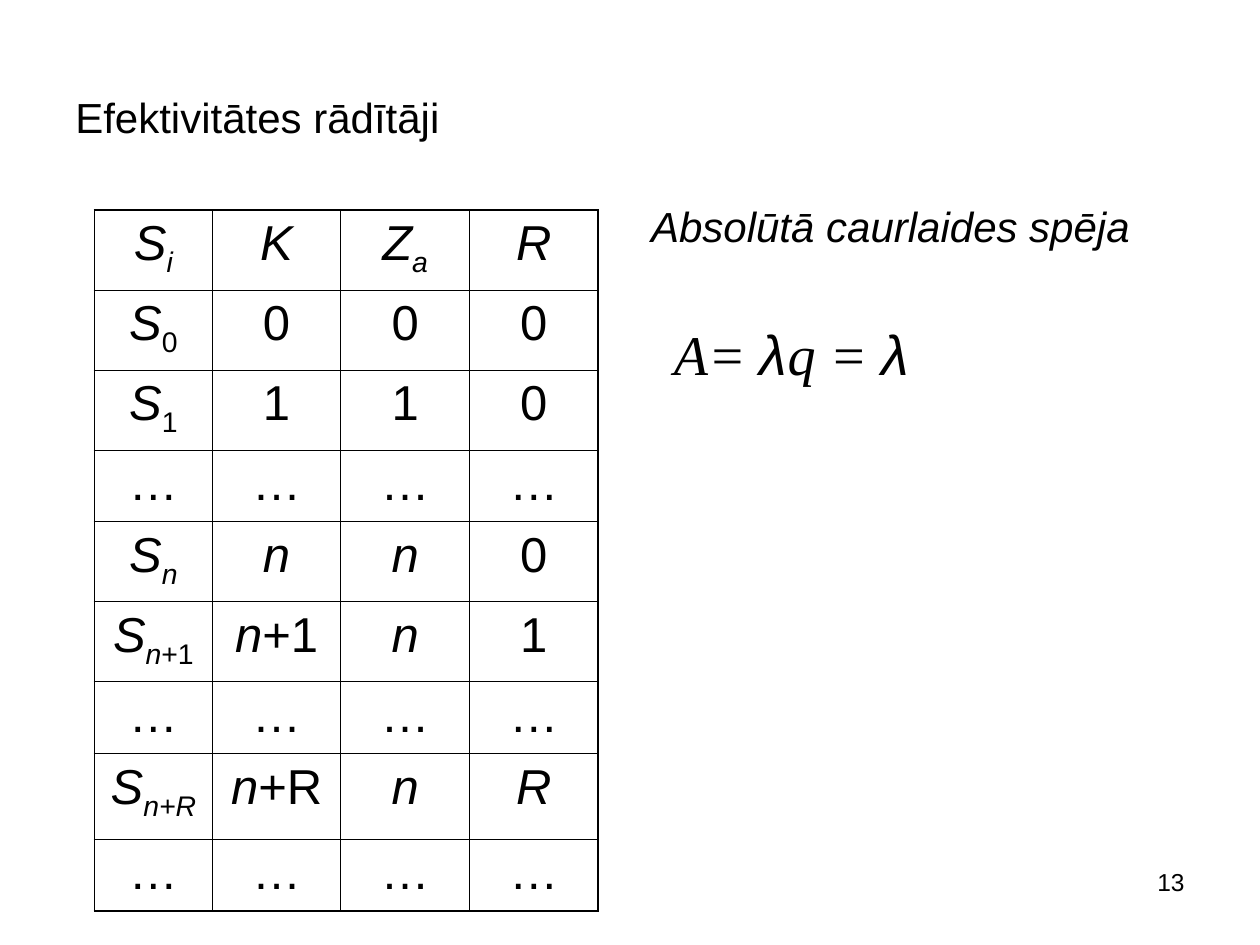
"""Build the slide on performance measures with its state table."""
import dataclasses
import typing

import lxml.etree
import pptx
import pptx.dml.color
import pptx.enum.text
import pptx.oxml.ns
import pptx.util

Pt = pptx.util.Pt
Align = pptx.enum.text.PP_ALIGN
Anchor = pptx.enum.text.MSO_ANCHOR
Fit = pptx.enum.text.MSO_AUTO_SIZE


@dataclasses.dataclass(frozen=True)
class Theme:
    ink: str = "000000"
    sans: str = "Arial"
    serif: str = "Times New Roman"
    head: float = 24
    cell: float = 28
    math: float = 32
    page: float = 14
    thin: float = 0.45
    thick: float = 1.08


THEME = Theme()


class Run(typing.NamedTuple):
    text: str
    slant: bool = False
    sub: bool = False
    face: str = THEME.sans


class Box(typing.NamedTuple):
    left: float
    top: float
    width: float
    height: float
    size: float
    runs: tuple[Run, ...]
    frame: dict[str, typing.Any]
    align: Align = Align.LEFT


def write(para: typing.Any, runs: tuple[Run, ...], size: float, align: Align) -> None:
    """Fill a paragraph with styled runs."""
    para.alignment = align
    for part in runs:
        run = para.add_run()
        run.text = part.text
        style = {"name": part.face, "size": Pt(size), "italic": part.slant}
        for key, value in style.items():
            setattr(run.font, key, value)
        run.font.color.rgb = pptx.dml.color.RGBColor.from_string(THEME.ink)
        if part.sub:
            run._r.get_or_add_rPr().set("baseline", "-25000")


def draw_box(slide: typing.Any, box: Box) -> None:
    """Draw one text box."""
    shape = slide.shapes.add_textbox(*map(Pt, box[:4]))
    for key, value in box.frame.items():
        setattr(shape.text_frame, key, value)
    write(shape.text_frame.paragraphs[0], box.runs, box.size, box.align)


def edge(cell: typing.Any, side: str, width: float) -> None:
    """Add one border line to a cell."""
    qn = pptx.oxml.ns.qn
    props = cell._tc.get_or_add_tcPr()
    line = lxml.etree.SubElement(props, qn(f"a:ln{side}"), w=str(int(Pt(width))))
    fill = lxml.etree.SubElement(line, qn("a:solidFill"))
    lxml.etree.SubElement(fill, qn("a:srgbClr"), val=THEME.ink)


def draw_grid(slide: typing.Any, left: float, top: float, cols: list[float],
              rows: list[float], cells: list[list[tuple[Run, ...]]]) -> None:
    """Draw the table with a thick outer frame."""
    area = map(Pt, (left, top, sum(cols), sum(rows)))
    grid = slide.shapes.add_table(len(rows), len(cols), *area).table
    for flag in ("first_row", "horz_banding"):
        setattr(grid, flag, False)
    for col, width in zip(grid.columns, cols):
        col.width = Pt(width)
    for row, height in zip(grid.rows, rows):
        row.height = Pt(height)
    for y, line in enumerate(cells):
        for x, runs in enumerate(line):
            cell = grid.cell(y, x)
            outer = {"L": x == 0, "R": x == len(cols) - 1,
                     "T": y == 0, "B": y == len(rows) - 1}
            for side, rim in outer.items():
                edge(cell, side, THEME.thick if rim else THEME.thin)
            cell.fill.background()
            write(cell.text_frame.paragraphs[0], runs, THEME.cell, Align.CENTER)


def sign(text: str) -> tuple[Run, ...]:
    """Give an upright entry."""
    return (Run(text),)


def name(text: str, *tail: Run) -> tuple[Run, ...]:
    """Give an italic symbol with an optional tail."""
    return (Run(text, True), *tail)


def low(text: str, slant: bool = False) -> Run:
    """Give a subscript run."""
    return Run(text, slant, True)


DOTS = [sign("…")] * 4
CELLS = [
    [name("S", low("i", True)), name("K"), name("Z", low("a", True)), name("R")],
    [name("S", low("0")), sign("0"), sign("0"), sign("0")],
    [name("S", low("1")), sign("1"), sign("1"), sign("0")],
    DOTS,
    [name("S", low("n", True)), name("n"), name("n"), sign("0")],
    [name("S", low("n", True), low("+1")), name("n", Run("+1")), name("n"), sign("1")],
    DOTS,
    [name("S", low("n+R", True)), name("n", Run("+R")), name("n"), name("R")],
    DOTS,
]
TALL, SHORT, DEEP = 45.7, 41.1, 49
ROWS = [TALL, TALL, TALL, SHORT, TALL, TALL, SHORT, DEEP, SHORT]
COLS = [67.3] + [73.5] * 3

WRAP = {"word_wrap": True}
GROW = {"word_wrap": False, "auto_size": Fit.SHAPE_TO_FIT_TEXT}
BOXES = [
    Box(36, 21.6, 648, 90, THEME.head, sign("Efektivitātes rādītāji"),
        {**WRAP, "vertical_anchor": Anchor.MIDDLE}),
    Box(378, 179.3, 152, 46, THEME.math,
        (Run("A= ", True, face=THEME.serif), Run("λ", True),
         Run("q = ", True, face=THEME.serif), Run("λ", True)), GROW),
    Box(365, 110.9, 288, 36, THEME.head, name("Absolūtā caurlaides spēja"), GROW),
    Box(516, 491.8, 168, 37.5, THEME.page, sign("13"), WRAP, Align.RIGHT),
]


def main() -> None:
    """Build and save the deck."""
    deck = pptx.Presentation()
    deck.slide_width, deck.slide_height = Pt(720), Pt(540)
    slide = deck.slides.add_slide(deck.slide_layouts[6])
    draw_grid(slide, 54, 120, COLS, ROWS, CELLS)
    for box in BOXES:
        draw_box(slide, box)
    deck.save("out.pptx")


if __name__ == "__main__":
    main()
